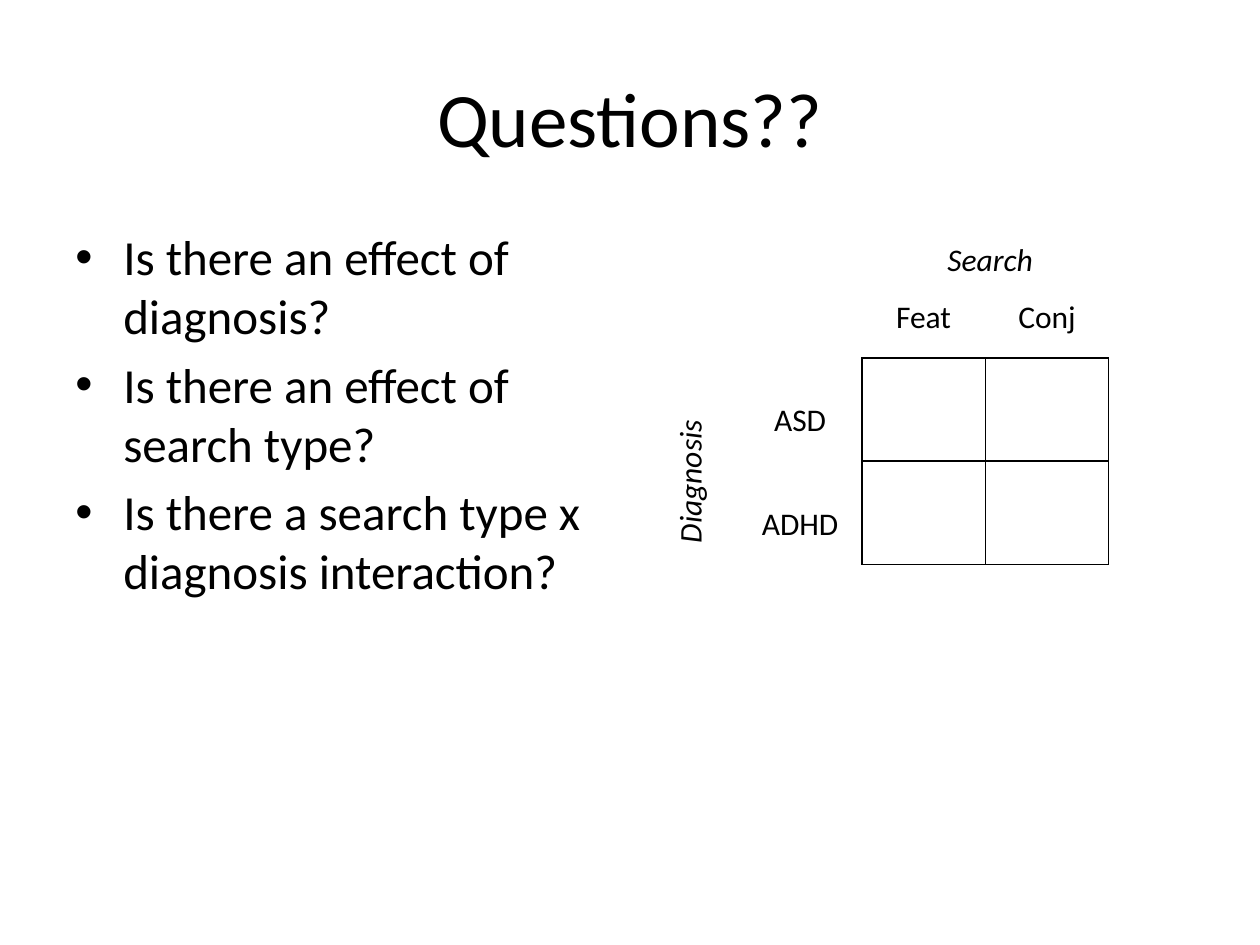
from lxml.etree import SubElement
from pptx import Presentation
from pptx.dml.color import RGBColor
from pptx.enum.text import MSO_ANCHOR as Anchor, PP_ALIGN as Align
from pptx.oxml.ns import qn
from pptx.util import Inches, Pt

TITLE = "Questions??"
QUESTIONS = [
    "Is there an effect of diagnosis?",
    "Is there an effect of search type?",
    "Is there a search type x diagnosis interaction?",
]
DESIGN = [
    ["", "Feat", "Conj"],
    ["ASD", "", ""],
    ["ADHD", "", ""],
]
# factor name, (left, top, width, height), rotation
FACTORS = [
    ("Search", (7.42, 1.86, 1.38, 0.4), 0),
    ("Diagnosis", (4.82, 3.56, 1.3, 0.4), 270),
]
COLORS = {"ink": "000000"}
FONT = "Calibri"
COLUMN, ROW = 0.98, 0.82
GRID_LEFT, GRID_TOP = 5.86, 2.02


def style(paragraph, size, italic=False):
    font = paragraph.font
    font.name, font.size, font.italic = FONT, Pt(size), italic
    font.color.rgb = RGBColor.from_string(COLORS["ink"])


def add_text(slide, box):
    shape = slide.shapes.add_textbox(*map(Inches, box))
    shape.text_frame.word_wrap = True
    return shape


def add_bullet(paragraph, indent=0.38):
    props = paragraph._p.get_or_add_pPr()
    props.set("marL", str(Inches(indent)))
    props.set("indent", str(Inches(-indent)))
    SubElement(props, qn("a:buFont"), typeface="Arial")
    SubElement(props, qn("a:buChar"), char="•")


def add_borders(cell):
    props = cell._tc.get_or_add_tcPr()
    for side in "LRTB":
        line = SubElement(props, qn(f"a:ln{side}"), w=str(Pt(1)))
        fill = SubElement(line, qn("a:solidFill"))
        SubElement(fill, qn("a:srgbClr"), val=COLORS["ink"])


def add_title(slide):
    title = slide.shapes.title
    title.left, title.top, title.width, title.height = map(Inches, (0.5, 0.3, 9, 1.25))
    frame = title.text_frame
    frame.text = TITLE
    frame.vertical_anchor = Anchor.MIDDLE
    frame.paragraphs[0].alignment = Align.CENTER
    style(frame.paragraphs[0], 44)


def add_questions(slide):
    frame = add_text(slide, (0.5, 1.75, 4.42, 4.95)).text_frame
    for i, question in enumerate(QUESTIONS):
        paragraph = frame.add_paragraph() if i else frame.paragraphs[0]
        paragraph.text = question
        if i:
            paragraph.space_before = Pt(5.6)
        add_bullet(paragraph)
        style(paragraph, 28)


def add_design(slide):
    rows, columns = len(DESIGN), len(DESIGN[0])
    box = (GRID_LEFT, GRID_TOP, columns * COLUMN, rows * ROW)
    table = slide.shapes.add_table(rows, columns, *map(Inches, box)).table
    table.first_row = table.horz_banding = False
    for r, labels in enumerate(DESIGN):
        for c, label in enumerate(labels):
            cell = table.cell(r, c)
            cell.text = label
            if r and c:
                add_borders(cell)
            cell.fill.background()
            cell.margin_top = Inches(0.35)
            paragraph = cell.text_frame.paragraphs[0]
            paragraph.alignment = Align.CENTER
            style(paragraph, 18)


def add_factors(slide):
    for name, box, rotation in FACTORS:
        label = add_text(slide, box)
        label.rotation = rotation
        label.text_frame.text = name
        style(label.text_frame.paragraphs[0], 18, italic=True)


def main():
    deck = Presentation()
    deck.slide_width, deck.slide_height = Inches(10), Inches(7.5)
    slide = deck.slides.add_slide(deck.slide_layouts[5])
    add_title(slide)
    add_questions(slide)
    add_design(slide)
    add_factors(slide)
    deck.save("out.pptx")


if __name__ == "__main__":
    main()
